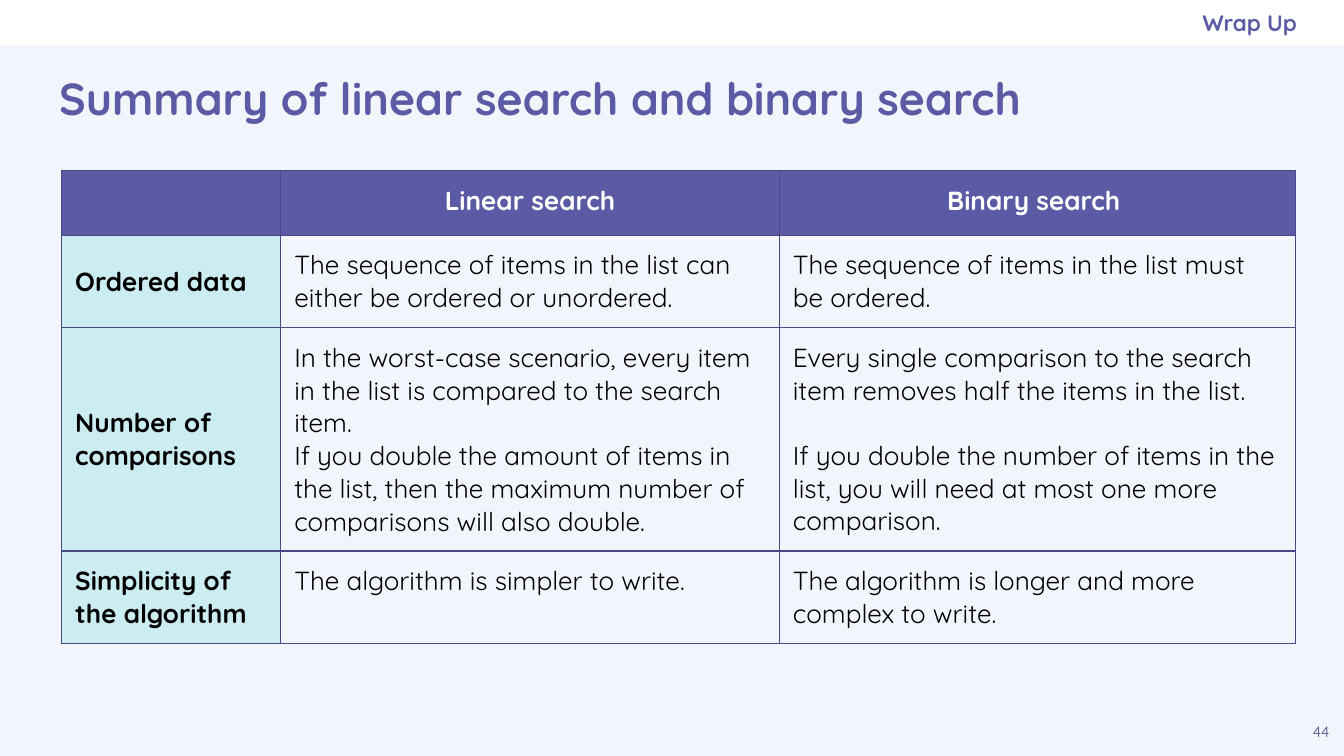
import pptx
import pptx.dml.color
import pptx.enum.shapes
import pptx.enum.text
import pptx.oxml.ns
import pptx.util
from lxml import etree

Inches = pptx.util.Inches
ALIGN = pptx.enum.text.PP_ALIGN
ANCHOR = pptx.enum.text.MSO_ANCHOR

FONT = "Quicksand"
PURPLE = "5B5BA5"
DARK_PURPLE = "494985"
PALE_BLUE = "F2F6FC"
AQUA = "CBECF1"
WHITE = "FFFFFF"
BLACK = "000000"

SLIDE_WIDTH = 10
SLIDE_HEIGHT = SLIDE_WIDTH * 9 / 16
COLUMN_WIDTHS = [1.63, 3.71, 3.84]
ROW_HEIGHTS = [0.48, 0.69, 1.66, 0.69]
CELL_SIZE = 14
# Each cell is a list of paragraphs
HEADERS = [[], ["Linear search"], ["Binary search "]]
COMPARISON = [
    [["Ordered data"],
     ["The sequence of items in the list can either be ordered or unordered."],
     ["The sequence of items in the list must be ordered."]],
    [["Number of comparisons"],
     ["In the worst-case scenario, every item in the list is compared to the search item.",
      "If you double the amount of items in the list, then the maximum number of "
      "comparisons will also double."],
     ["Every single comparison to the search item removes half the items in the list.",
      "If you double the number of items in the list, you will need at most one more "
      "comparison."]],
    [["Simplicity of the algorithm"],
     ["The algorithm is simpler to write."],
     ["The algorithm is longer and more complex to write."]],
]


def color(value):
    return pptx.dml.color.RGBColor.from_string(value)


def paint(fill, value):
    fill.solid()
    fill.fore_color.rgb = color(value)


def place(shape, left, top, width, height):
    shape.left, shape.top = Inches(left), Inches(top)
    shape.width, shape.height = Inches(width), Inches(height)


def set_margins(holder, right=0.1):
    holder.margin_left = holder.margin_top = holder.margin_bottom = Inches(0.1)
    holder.margin_right = Inches(right)


def write(frame, lines, size, text_color, bold=False, align=ALIGN.LEFT, gap=0):
    for index, line in enumerate(lines):
        para = frame.add_paragraph() if index else frame.paragraphs[0]
        para.alignment = align
        para.space_before = pptx.util.Pt(gap if index else 0)
        span = para.add_run()
        span.text = line
        span.font.name = FONT
        span.font.size = pptx.util.Pt(size)
        span.font.bold = bold
        span.font.color.rgb = color(text_color)


def fill_placeholder(box, bounds, text, size, align, right_margin=0.1):
    place(box, *bounds)
    frame = box.text_frame
    frame.auto_size = pptx.enum.text.MSO_AUTO_SIZE.NONE
    frame.word_wrap = True
    frame.vertical_anchor = ANCHOR.MIDDLE
    set_margins(frame, right_margin)
    write(frame, [text], size, PURPLE, True, align)


def add_top_band(page):
    band = page.shapes.add_shape(
        pptx.enum.shapes.MSO_SHAPE.RECTANGLE, 0, 0, Inches(SLIDE_WIDTH), Inches(0.34))
    band.shadow.inherit = False
    paint(band.fill, WHITE)
    band.line.fill.background()
    # Keep the band behind the placeholders
    page.shapes._spTree.insert(2, band._element)


def add_page_number(page, number):
    box = page.shapes.add_textbox(
        Inches(9.66), Inches(5.28), Inches(0.34), Inches(0.34))
    frame = box.text_frame
    frame.word_wrap = True
    frame.auto_size = pptx.enum.text.MSO_AUTO_SIZE.NONE
    frame.vertical_anchor = ANCHOR.TOP
    set_margins(frame)
    write(frame, [number], 8, DARK_PURPLE, align=ALIGN.CENTER)


def add_borders(cell):
    properties = cell._tc.get_or_add_tcPr()
    for side in ("a:lnL", "a:lnR", "a:lnT", "a:lnB"):
        line = etree.SubElement(properties, pptx.oxml.ns.qn(side),
                                w=str(pptx.util.Pt(0.75)))
        solid = etree.SubElement(line, pptx.oxml.ns.qn("a:solidFill"))
        etree.SubElement(solid, pptx.oxml.ns.qn("a:srgbClr"), val=DARK_PURPLE)


def size_empty_cell(cell):
    # Without this the default text size stretches the row
    para = cell.text_frame.paragraphs[0]
    etree.SubElement(para._p, pptx.oxml.ns.qn("a:endParaRPr"), sz=str(CELL_SIZE * 100))


def format_cell(cell, lines, is_header, is_label, gap):
    add_borders(cell)
    set_margins(cell)
    cell.vertical_anchor = ANCHOR.MIDDLE if is_label else ANCHOR.TOP
    if is_header:
        paint(cell.fill, PURPLE)
    elif is_label:
        paint(cell.fill, AQUA)
    else:
        cell.fill.background()
    if not lines:
        size_empty_cell(cell)
    write(cell.text_frame, lines, CELL_SIZE, WHITE if is_header else BLACK,
          is_header or is_label, ALIGN.CENTER if is_header else ALIGN.LEFT, gap)


def add_comparison_table(page):
    rows = [HEADERS] + COMPARISON
    frame = page.shapes.add_table(
        len(rows), len(HEADERS), Inches(0.46), Inches(1.27),
        Inches(sum(COLUMN_WIDTHS)), Inches(sum(ROW_HEIGHTS)))
    table = frame.table
    table.horz_banding = False
    for column, width in zip(table.columns, COLUMN_WIDTHS):
        column.width = Inches(width)
    for row, height in zip(table.rows, ROW_HEIGHTS):
        row.height = Inches(height)
    for r, row in enumerate(rows):
        for c, lines in enumerate(row):
            # The binary search column separates its paragraphs by one line
            gap = 17.5 if c == 2 else 0
            format_cell(table.cell(r, c), lines, r == 0, c == 0, gap)


def main():
    deck = pptx.Presentation()
    deck.slide_width, deck.slide_height = Inches(SLIDE_WIDTH), Inches(SLIDE_HEIGHT)
    page = deck.slides.add_slide(deck.slide_layouts[0])
    paint(page.background.fill, PALE_BLUE)

    # Heading area
    add_top_band(page)
    fill_placeholder(page.shapes.title, (0.34, 0.34, 9.32, 0.77),
                     "Summary of linear search and binary search", 24, ALIGN.LEFT)
    fill_placeholder(page.placeholders[1], (5.75, 0, 3.9, 0.34),
                     "Wrap Up", 12, ALIGN.RIGHT, right_margin=0)

    # Content and footer
    add_comparison_table(page)
    add_page_number(page, "44")
    deck.save("out.pptx")


if __name__ == "__main__":
    main()
